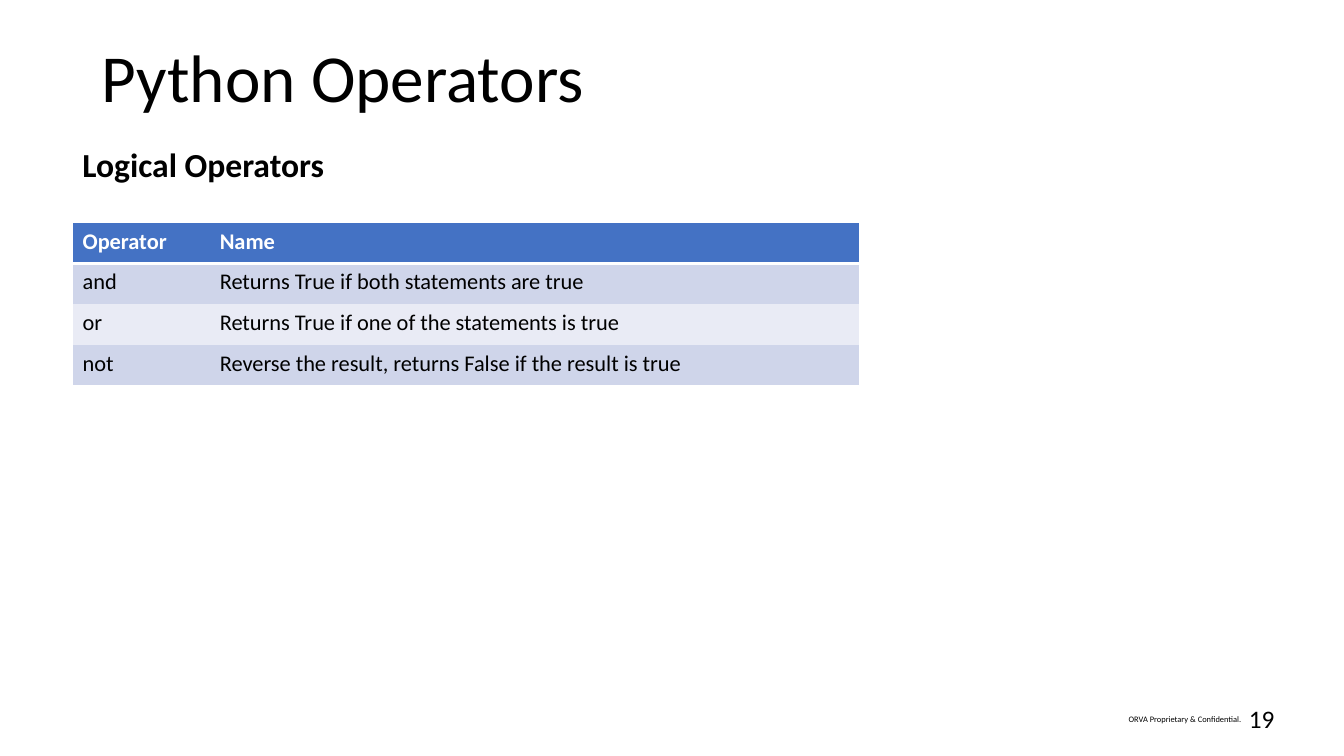
from pptx import Presentation
from pptx import util as u
from pptx.dml.color import RGBColor
from pptx.enum import text
from pptx.oxml.ns import qn
from lxml import etree

FONT = "Calibri"
COLORS = {"text": "000000", "white": "FFFFFF", "header": "4472C4",
          "odd": "CFD5EA", "even": "E9EBF5"}
OPERATORS = [
    ("Operator", "Name"),
    ("and", "Returns True if both statements are true"),
    ("or", "Returns True if one of the\u00a0statements is true".replace("\u00a0", " ")),
    ("not", "Reverse the result, returns False if the result is true"),
]
OPERATORS[2] = ("or", "Returns True if one of the statements is true")
COLUMN_WIDTHS = (1.36, 6.45)


def style_font(paragraph, size, color="text", bold=False):
    font = paragraph.font
    font.name, font.size, font.bold = FONT, u.Pt(size), bold
    font.color.rgb = RGBColor.from_string(COLORS[color])


def add_text(slide, box, words, size, bold=False, inset=True,
             anchor=text.MSO_ANCHOR.TOP, align=text.PP_ALIGN.LEFT):
    shape = slide.shapes.add_textbox(*map(u.Inches, box))
    frame = shape.text_frame
    frame.word_wrap = True
    frame.vertical_anchor = anchor
    if not inset:
        frame.margin_left = frame.margin_right = 0
        frame.margin_top = frame.margin_bottom = 0
    paragraph = frame.paragraphs[0]
    paragraph.text = words
    paragraph.alignment = align
    style_font(paragraph, size, bold=bold)


def set_borders(cell, widths):
    """Draw white borders on the sides named in widths and none elsewhere."""
    properties = cell._tc.get_or_add_tcPr()
    for position, side in enumerate(("L", "R", "T", "B")):
        line = etree.Element(qn(f"a:ln{side}"))
        if side in widths:
            line.set("w", str(u.Pt(widths[side])))
            fill = etree.SubElement(line, qn("a:solidFill"))
            etree.SubElement(fill, qn("a:srgbClr"), val=COLORS["white"])
        else:
            etree.SubElement(line, qn("a:noFill"))
        properties.insert(position, line)


def add_operator_table(slide, box):
    rows, columns = len(OPERATORS), len(COLUMN_WIDTHS)
    table = slide.shapes.add_table(rows, columns, *map(u.Inches, box)).table
    for column, width in zip(table.columns, COLUMN_WIDTHS):
        column.width = u.Inches(width)
    for i, row in enumerate(OPERATORS):
        header = i == 0
        fill = "header" if header else ("odd" if i % 2 else "even")
        for j, words in enumerate(row):
            cell = table.cell(i, j)
            cell.fill.solid()
            cell.fill.fore_color.rgb = RGBColor.from_string(COLORS[fill])
            paragraph = cell.text_frame.paragraphs[0]
            paragraph.text = words
            style_font(paragraph, 16, "white" if header else "text", header)
            borders = {"L" if j == 0 else "R": 1}
            if header:
                borders.update(T=1, B=3)
            elif i == 1:
                borders["T"] = 3
            elif i == rows - 1:
                borders["B"] = 1
            set_borders(cell, borders)


def add_footer(slide, box):
    left, top, width, height = box
    number_width = 0.27
    style = dict(inset=False, anchor=text.MSO_ANCHOR.MIDDLE,
                 align=text.PP_ALIGN.RIGHT)
    add_text(slide, (left, top, 1.88, height),
             "ORVA Proprietary & Confidential.", 6, **style)
    add_text(slide, (left + width - number_width, top, number_width, height),
             "19", 18, **style)


def main():
    presentation = Presentation()
    presentation.slide_width = u.Inches(13.33)
    presentation.slide_height = u.Inches(7.5)
    slide = presentation.slides.add_slide(presentation.slide_layouts[6])

    # Footer
    add_footer(slide, (10.43, 7.01, 2.21, 0.24))
    # Headings
    add_text(slide, (1.01, 0.35, 8.02, 0.7), "Python Operators", 48, inset=False)
    add_text(slide, (0.72, 1.38, 6.67, 0.5), "Logical Operators", 24, bold=True)
    # Operators and their meaning
    add_operator_table(slide, (0.72, 2.21, sum(COLUMN_WIDTHS), 1.62))

    presentation.save("out.pptx")


if __name__ == "__main__":
    main()
